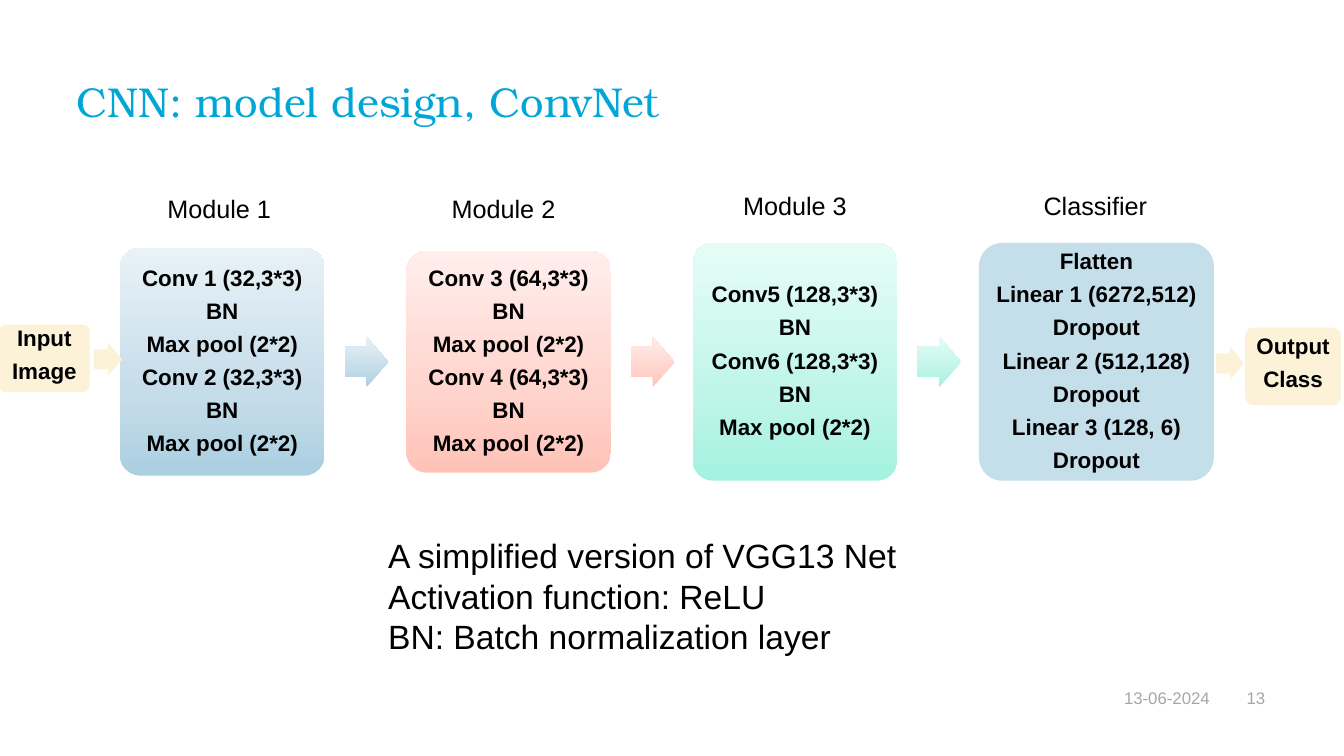
from copy import deepcopy

from pptx import Presentation
from pptx.dml.color import RGBColor
from pptx.enum.shapes import MSO_SHAPE
from pptx.enum.text import MSO_ANCHOR, PP_ALIGN
from pptx.oxml.ns import qn
from pptx.util import Pt

PX = 9144
ROUND, ARROW = MSO_SHAPE.ROUNDED_RECTANGLE, MSO_SHAPE.RIGHT_ARROW
TOP, MIDDLE = MSO_ANCHOR.TOP, MSO_ANCHOR.MIDDLE
LEFT, CENTER, RIGHT = PP_ALIGN.LEFT, PP_ALIGN.CENTER, PP_ALIGN.RIGHT

BLACK = RGBColor(0x00, 0x00, 0x00)
CYAN = RGBColor(0x00, 0xA6, 0xD6)
GRAY = RGBColor(0xA6, 0xA6, 0xA6)
CREAM = RGBColor(0xFC, 0xF2, 0xD8)
PALE = RGBColor(0xC4, 0xDE, 0xEA)
BLUES = (RGBColor(0xAA, 0xCF, 0xE1), RGBColor(0xC5, 0xDC, 0xE9), RGBColor(0xE8, 0xF2, 0xF7))
REDS = (RGBColor(0xFF, 0xC2, 0xB7), RGBColor(0xFF, 0xD4, 0xCC), RGBColor(0xFF, 0xEE, 0xEC))
GREENS = (RGBColor(0xA2, 0xF2, 0xE0), RGBColor(0xBF, 0xF5, 0xE8), RGBColor(0xE6, 0xFC, 0xF7))
STOPS = (0, 0.35, 1)

BODY = {"name": "Arial", "size": Pt(24)}
LABEL = {"name": "Arial", "size": Pt(18)}
LAYER = {"name": "Arial", "size": Pt(16), "bold": True}
FOOT = {"name": "Arial", "size": Pt(12)}
HEAD = {"name": "TeX Gyre Bonum", "size": Pt(29.8)}
TIGHT = {"alignment": CENTER, "line_spacing": 0.9, "space_after": Pt(6.4)}


def assign(item, values):
    for key, value in values.items():
        setattr(item, key, value)


class Deck:
    def __init__(self, wide, high):
        self.show = Presentation()
        assign(self.show, {"slide_width": wide * PX, "slide_height": high * PX})
        self.slide = self.show.slides.add_slide(self.show.slide_layouts[6])

    def letter(self, shape, lines, font, para, color=BLACK, inset=(5, 5, 5, 5), anchor=TOP, wrap=True):
        frame = shape.text_frame
        sides = ("margin_left", "margin_top", "margin_right", "margin_bottom")
        assign(frame, {side: gap * PX for side, gap in zip(sides, inset)})
        assign(frame, {"word_wrap": wrap, "vertical_anchor": anchor, "text": "\n".join(lines)})
        for line in frame.paragraphs:
            assign(line, para)
            for run in line.runs:
                assign(run.font, font)
                run.font.color.rgb = color

    def text(self, box, lines, font, para, **style):
        shape = self.slide.shapes.add_textbox(*(n * PX for n in box))
        self.letter(shape, lines, font, para, **style)

    def shape(self, kind, box, paint, adjust):
        shape = self.slide.shapes.add_shape(kind, *(n * PX for n in box))
        shape.shadow.inherit = False
        shape.line.fill.background()
        for index, value in enumerate(adjust):
            shape.adjustments[index] = value
        if isinstance(paint, RGBColor):
            shape.fill.solid()
            shape.fill.fore_color.rgb = paint
        else:
            self.blend(shape, paint)
        return shape

    def blend(self, shape, colors):
        shape.fill.gradient()
        shape.fill.gradient_angle = 90
        stops = shape._element.spPr.find(".//" + qn("a:gsLst"))
        stops.insert(1, deepcopy(stops[0]))
        for stop, color, place in zip(shape.fill.gradient_stops, colors, STOPS):
            stop.color.rgb = color
            stop.position = place

    def block(self, box, paint, lines, inset=(7, 7, 7, 7)):
        shape = self.shape(ROUND, box, paint, (0.1,))
        self.letter(shape, lines, LAYER, TIGHT, inset=inset, anchor=MIDDLE)

    def arrow(self, box, paint):
        self.shape(ARROW, box, paint, (0.6, 0.5))


def main():
    deck = Deck(1333, 750)
    plain = {"alignment": LEFT}
    deck.text((76, 81, 1181, 54), ["CNN: model design, ConvNet"], HEAD,
              {"line_spacing": 0.9}, color=CYAN, inset=(0, 0, 0, 0))

    stages = [
        ("Module 1", 161, 187, 203, 226, BLUES, BLUES,
         ["Conv 1 (32,3*3)", "BN", "Max pool (2*2)", "Conv 2 (32,3*3)", "BN", "Max pool (2*2)"]),
        ("Module 2", 443, 187, 203, 220, REDS, REDS,
         ["Conv 3 (64,3*3)", "BN", "Max pool (2*2)", "Conv 4 (64,3*3)", "BN", "Max pool (2*2)"]),
        ("Module 3", 732, 184, 203, 236, GREENS, GREENS,
         ["Conv5 (128,3*3)", "BN", "Conv6 (128,3*3)", "BN", "Max pool (2*2)"]),
        ("Classifier", 1030, 184, 233, 236, PALE, None,
         ["Flatten", "Linear 1 (6272,512)", "Dropout", "Linear 2 (512,128)", "Dropout",
          "Linear 3 (128, 6)", "Dropout"]),
    ]
    first, step, middle = 119, 284, 359
    for index, (name, left, top, wide, high, paint, link, layers) in enumerate(stages):
        start = first + index * step
        deck.block((start, middle - high // 2, wide, high), paint, layers)
        if link:
            deck.arrow((start + 223, 334, 43, 50), link)
        deck.text((left, top, 126, 40), [name], LABEL, plain)

    ends = [
        ((-1, 322, 90, 67), (93, 340, 28, 33), ["Input", "Image"]),
        ((1235, 325, 95, 77), (1206, 344, 28, 33), ["Output", "Class"]),
    ]
    for box, link, words in ends:
        deck.block(box, CREAM, words, inset=(7, 7, 7, 12))
        deck.arrow(link, CREAM)

    notes = ["A simplified version of VGG13 Net", "Activation function: ReLU",
             "BN: Batch normalization layer"]
    deck.text((380, 526, 531, 131), notes, BODY, plain)

    for box, word, wrap in (((1071, 682, 129, 20), "13-06-2024", True),
                            ((1235, 683, 20, 19), "13", False)):
        deck.text(box, [word], FOOT, {"alignment": RIGHT}, color=GRAY,
                  inset=(0, 0, 0, 0), anchor=MIDDLE, wrap=wrap)

    deck.show.save("out.pptx")


if __name__ == "__main__":
    main()
